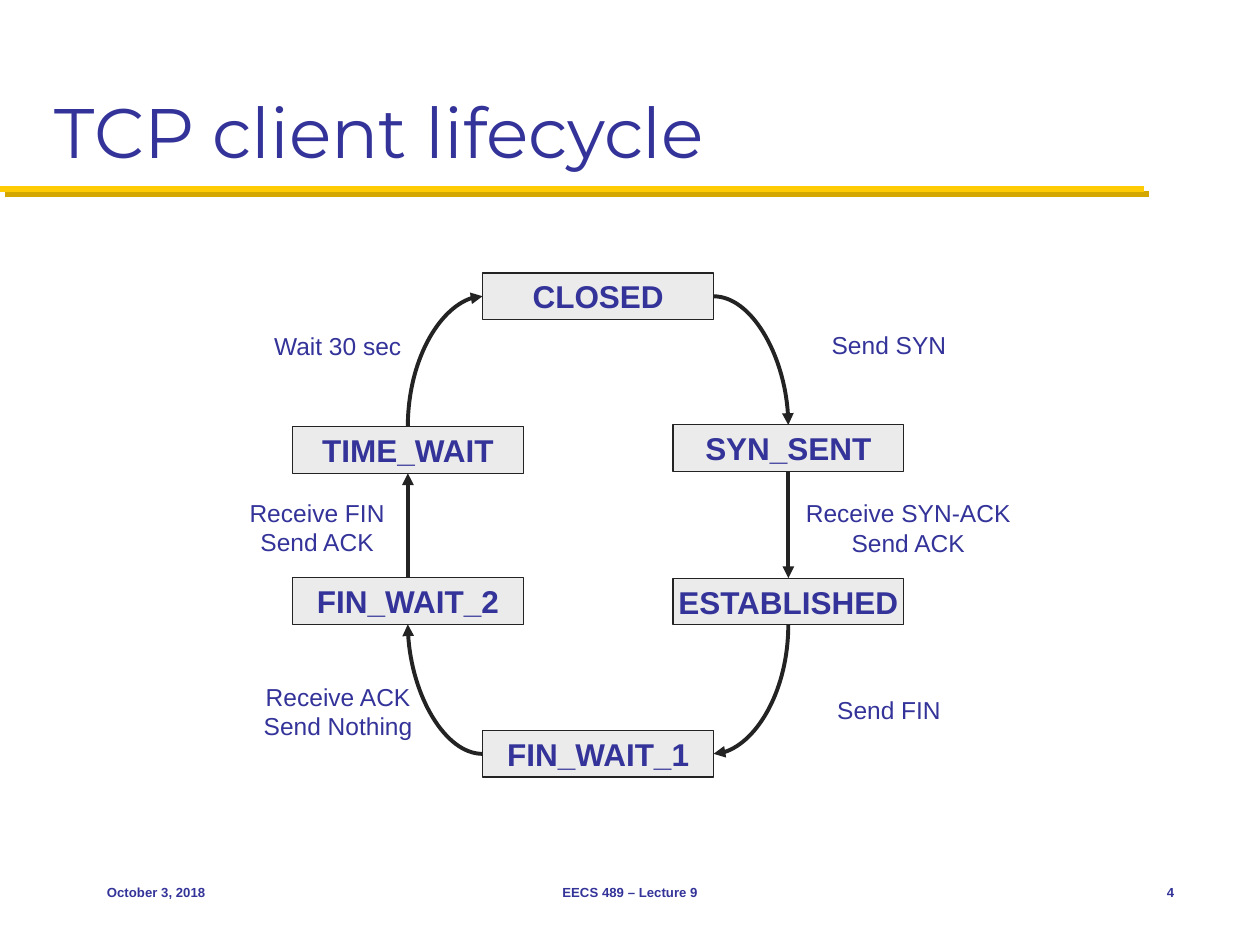
from lxml import etree
from pptx import Presentation
from pptx.dml.color import RGBColor
from pptx.enum.shapes import MSO_CONNECTOR as LINK, MSO_SHAPE
from pptx.enum.text import MSO_ANCHOR as ANCHOR, PP_ALIGN as ALIGN
from pptx.oxml.ns import qn
from pptx.util import Pt

INDIGO = RGBColor(0x33, 0x33, 0x99)
GOLD = RGBColor(0xFF, 0xCB, 0x05)
DARK_GOLD = RGBColor(0xD3, 0xA6, 0x00)
INK = RGBColor(0x23, 0x23, 0x23)
PALE = RGBColor(0xEB, 0xEB, 0xEB)

# Content
TITLE = "TCP client lifecycle"
FOOTERS = [  # text, left, width, alignment
    ("October 3, 2018", 54, 150, ALIGN.LEFT),
    ("EECS 489 – Lecture 9", 246, 228, ALIGN.CENTER),
    ("4", 630, 48, ALIGN.RIGHT),
]
STATES = {  # name: (column, top)
    "CLOSED": (1, 156),
    "SYN_SENT": (2, 242.8),
    "ESTABLISHED": (2, 330.4),
    "FIN_WAIT_1": (1, 417.5),
    "FIN_WAIT_2": (0, 330.2),
    "TIME_WAIT": (0, 243.9),
}
TOP, LEFT, BOTTOM, RIGHT = range(4)  # connection sites of a rectangle
# Curves leave a state sideways, so some carry their arrowhead at the start
TRANSITIONS = [  # start, site, end, site, arrowhead end
    ("CLOSED", RIGHT, "SYN_SENT", TOP, "tailEnd"),
    ("SYN_SENT", BOTTOM, "ESTABLISHED", TOP, "tailEnd"),
    ("FIN_WAIT_1", RIGHT, "ESTABLISHED", BOTTOM, "headEnd"),
    ("FIN_WAIT_1", LEFT, "FIN_WAIT_2", BOTTOM, "tailEnd"),
    ("FIN_WAIT_2", TOP, "TIME_WAIT", BOTTOM, "tailEnd"),
    ("CLOSED", LEFT, "TIME_WAIT", TOP, "headEnd"),
]
EVENTS = [  # lines, centre x, top
    (["Send SYN"], 508, 185.3),
    (["Receive SYN-ACK", "Send ACK"], 519, 281.3),
    (["Send FIN"], 508, 393.8),
    (["Receive ACK", "Send Nothing"], 193.2, 386),
    (["Receive FIN", "Send ACK"], 181.2, 280.8),
    (["Wait 30 sec"], 193, 185.5),
]
STATE_W, STATE_H = 132, 26.6
COLUMN_LEFT, COLUMN_STEP = 167.1, 108.7
EVENT_W, EVENT_LINE_H, EVENT_PADDING = 132, 16.8, 7.2


def write(frame, lines, size, align, font="Arial", bold=False):
    for i, line in enumerate(lines):
        paragraph = frame.paragraphs[0] if i == 0 else frame.add_paragraph()
        paragraph.alignment = align
        run = paragraph.add_run()
        run.text = line
        run.font.name, run.font.size, run.font.bold = font, Pt(size), bold
        run.font.color.rgb = INDIGO


def add_label(lines, left, top, width, height, size, align, anchor, bold=False):
    label = slide.shapes.add_textbox(Pt(left), Pt(top), Pt(width), Pt(height))
    frame = label.text_frame
    frame.word_wrap = True
    frame.vertical_anchor = anchor
    write(frame, lines, size, align, bold=bold)


def add_line(kind, color, width, ends=(0, 0, 0, 0)):
    line = slide.shapes.add_connector(kind, *map(Pt, ends))
    line.line.color.rgb = color
    line.line.width = Pt(width)
    effects = etree.SubElement(line._element.spPr, qn("a:effectLst"))
    return line, effects


deck = Presentation()
deck.slide_width, deck.slide_height = Pt(720), Pt(540)
slide = deck.slides.add_slide(deck.slide_layouts[5])

# Title and its shadowed rule
title = slide.shapes.title
title.left, title.top, title.width, title.height = Pt(24), Pt(12), Pt(672), Pt(90)
title.text_frame.vertical_anchor = ANCHOR.BOTTOM
write(title.text_frame, [TITLE], 40, ALIGN.LEFT, font="Montserrat")

rule, rule_effects = add_line(LINK.STRAIGHT, GOLD, 3.5, (0, 108, 653.8, 108))
shadow = etree.SubElement(rule_effects, qn("a:outerShdw"), dist=str(Pt(4.2)),
                          dir=str(45 * 60000), algn="ctr", rotWithShape="0")
etree.SubElement(shadow, qn("a:srgbClr"), val=str(DARK_GOLD))

# Footer
for text, left, width, align in FOOTERS:
    add_label([text], left, 492, width, 36, 7.5, align, ANCHOR.MIDDLE, bold=True)

# States
boxes = {}
for name, (column, top) in STATES.items():
    box = slide.shapes.add_shape(
        MSO_SHAPE.RECTANGLE, Pt(COLUMN_LEFT + column * COLUMN_STEP), Pt(top),
        Pt(STATE_W), Pt(STATE_H))
    box.shadow.inherit = False
    box.fill.solid()
    box.fill.fore_color.rgb = PALE
    box.line.color.rgb = INK
    box.line.width = Pt(0.75)
    box.text_frame.word_wrap = False
    box.text_frame.vertical_anchor = ANCHOR.MIDDLE
    write(box.text_frame, [name], 18, ALIGN.CENTER, bold=True)
    boxes[name] = box

# Transitions
for start, start_site, end, end_site, arrow_end in TRANSITIONS:
    curved = start_site in (LEFT, RIGHT)
    arrow, _ = add_line(LINK.CURVE if curved else LINK.STRAIGHT, INK, 2.25)
    arrow.begin_connect(boxes[start], start_site)
    arrow.end_connect(boxes[end], end_site)
    if curved:
        arrow._element.spPr.find(qn("a:prstGeom")).set("prst", "curvedConnector2")
    etree.SubElement(arrow.line._get_or_add_ln(), qn("a:" + arrow_end), type="triangle")

# Events beside the transitions
for lines, centre, top in EVENTS:
    add_label(lines, centre - EVENT_W / 2, top, EVENT_W,
              EVENT_PADDING + EVENT_LINE_H * len(lines), 14, ALIGN.CENTER, ANCHOR.TOP)

deck.save("out.pptx")
